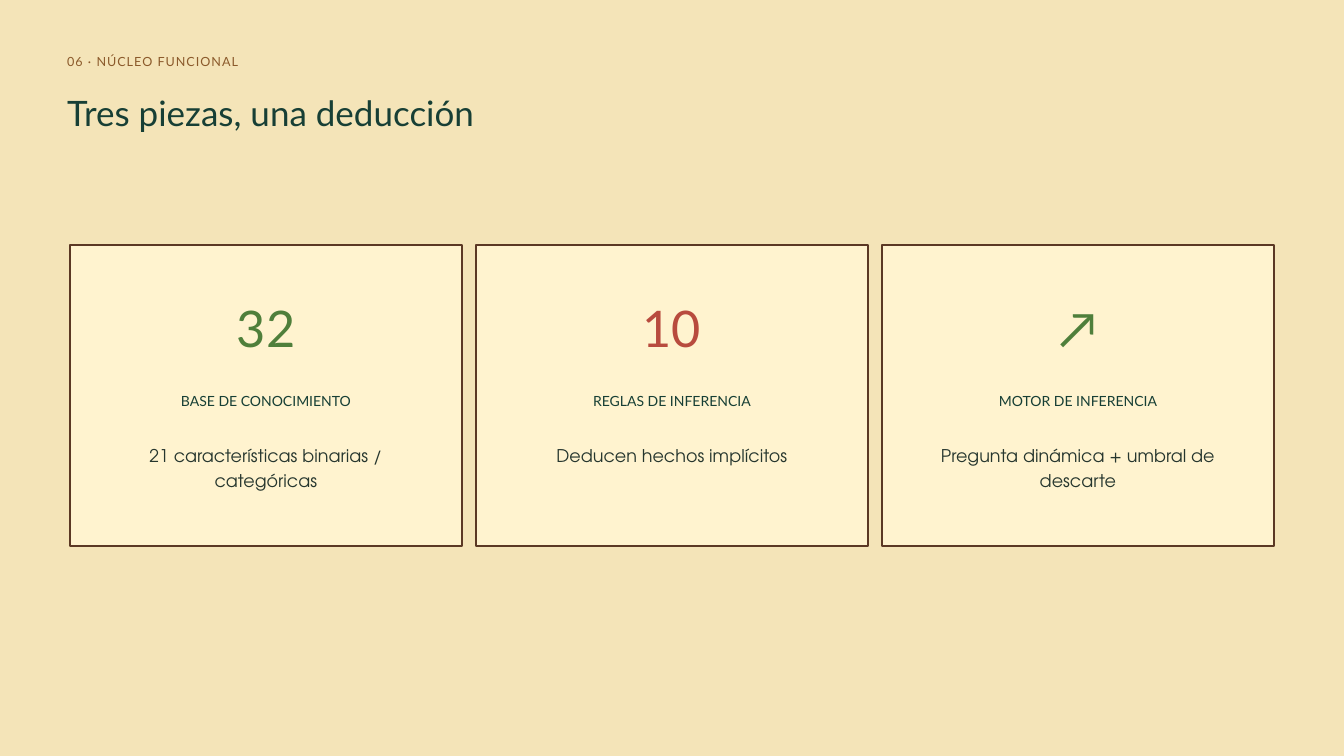
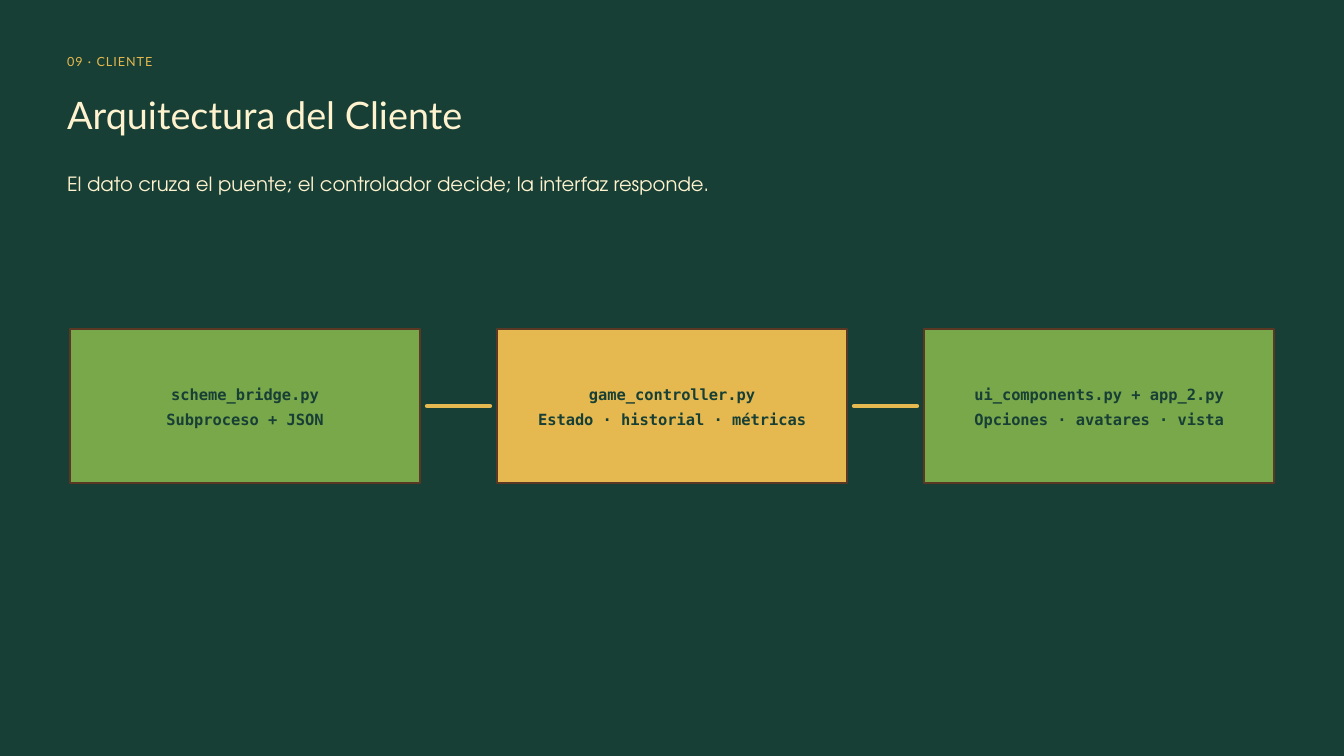
from dataclasses import dataclass

import pptx
import pptx.dml.color
import pptx.enum.shapes
import pptx.enum.text
import pptx.oxml
import pptx.util
from lxml import etree

RGBColor = pptx.dml.color.RGBColor
ALIGN = pptx.enum.text.PP_ALIGN
ANCHOR = pptx.enum.text.MSO_ANCHOR
AUTO_SIZE = pptx.enum.text.MSO_AUTO_SIZE

SAND = RGBColor(0xF4, 0xE4, 0xB8)
CREAM = RGBColor(0xFF, 0xF3, 0xCF)
PINE = RGBColor(0x17, 0x3F, 0x35)
INK = RGBColor(0x26, 0x36, 0x2E)
BARK = RGBColor(0x5B, 0x38, 0x24)
OCHRE = RGBColor(0x8B, 0x5A, 0x2B)
GOLD = RGBColor(0xE5, 0xB9, 0x4F)
LEAF = RGBColor(0x79, 0xA8, 0x4B)
MOSS = RGBColor(0x4F, 0x7F, 0x3B)
BRICK = RGBColor(0xB8, 0x4B, 0x3E)

SLIDE_WIDTH = pptx.util.Inches(20)
SLIDE_HEIGHT = pptx.util.Inches(11.25)
GRID_COLUMNS = 96
CELL = SLIDE_WIDTH / GRID_COLUMNS
MARGIN = 4.8


@dataclass
class Style:
    """Type settings of a paragraph."""
    font: str
    size: float
    leading: float
    color: RGBColor
    bold: bool = False
    tracking: float = 0


@dataclass
class Box:
    """Area measured in grid cells."""
    left: float
    top: float
    width: float
    height: float

    def emu(self):
        """Return left, top, width and height in slide units."""
        return [round(value * CELL) for value in (self.left, self.top, self.width, self.height)]

    def inset(self, side, top, height):
        """Return a narrower band inside this box."""
        return Box(self.left + side, self.top + top, self.width - 2 * side, height)

    def split(self, count, gap):
        """Divide this box into equal columns."""
        width = (self.width - gap * (count - 1)) / count
        return [Box(self.left + index * (width + gap), self.top, width, self.height)
                for index in range(count)]


def write(text_frame, lines, style, align=ALIGN.LEFT, inset=0):
    """Fill a text frame with one paragraph for each line."""
    text_frame.word_wrap = True
    text_frame.margin_left = text_frame.margin_right = pptx.util.Inches(inset)
    text_frame.margin_top = text_frame.margin_bottom = pptx.util.Inches(inset)
    text_frame.text = "\n".join(lines)
    for paragraph in text_frame.paragraphs:
        paragraph.alignment = align
        paragraph.line_spacing = pptx.util.Pt(style.leading)
        paragraph.space_before = pptx.util.Pt(0)
        paragraph.font.name = style.font
        paragraph.font.size = pptx.util.Pt(style.size)
        paragraph.font.bold = style.bold
        paragraph.font.color.rgb = style.color
        if style.tracking:
            for run in paragraph.runs:
                run._r.get_or_add_rPr().set("spc", str(round(style.tracking * 100)))


def add_text(shapes, box, text, style, align=ALIGN.LEFT):
    """Add a text box that grows with its text."""
    text_frame = shapes.add_textbox(*box.emu()).text_frame
    write(text_frame, [text], style, align)
    text_frame.auto_size = AUTO_SIZE.SHAPE_TO_FIT_TEXT


def add_panel(shapes, box, fill):
    """Add a filled rectangle with a brown outline."""
    panel = shapes.add_shape(pptx.enum.shapes.MSO_SHAPE.RECTANGLE, *box.emu())
    panel.shadow.inherit = False
    panel.fill.solid()
    panel.fill.fore_color.rgb = fill
    panel.line.color.rgb = BARK
    panel.line.width = pptx.util.Pt(3)
    return panel


def add_slide(presentation, background, section, section_color, title, title_style):
    """Add a slide with its background, section label and title."""
    slide = presentation.slides.add_slide(presentation.slide_layouts.get_by_name("Title Only"))
    slide.background.fill.solid()
    slide.background.fill.fore_color.rgb = background
    add_text(slide.shapes, Box(MARGIN, 3.65, 35, 1.2), section,
             Style("Lato", 13.5, 18.9, section_color, tracking=1.1))
    heading = slide.shapes.title
    heading.left, heading.top, heading.width, heading.height = Box(MARGIN, 6.53, 65, 3.1).emu()
    write(heading.text_frame, [title], title_style)
    heading.text_frame.vertical_anchor = ANCHOR.TOP
    heading.text_frame.auto_size = AUTO_SIZE.NONE
    return slide


def add_card(slide, box, figure, figure_color, label, description, description_height):
    """Group a panel with its figure, label and description."""
    shapes = slide.shapes.add_group_shape().shapes
    add_panel(shapes, box, CREAM)
    add_text(shapes, box.inset(1.5, 3, 4.75), figure,
             Style("Lato", 54, 75.6, figure_color), ALIGN.CENTER)
    add_text(shapes, box.inset(1.5, 10.45, 1.25), label,
             Style("Lato", 15, 18.8, PINE), ALIGN.CENTER)
    add_text(shapes, box.inset(2.75, 14.05, description_height), description,
             Style("TeX Gyre Adventor", 18.8, 26.2, INK), ALIGN.CENTER)


def add_module(slide, box, fill, lines):
    """Add a module box with its file name and role."""
    text_frame = add_panel(slide.shapes, box, fill).text_frame
    write(text_frame, lines, Style("DejaVu Sans Mono", 16.5, 26.4, PINE, bold=True),
          ALIGN.CENTER, 0.06)
    text_frame.margin_bottom = pptx.util.Inches(0.12)
    text_frame.vertical_anchor = ANCHOR.MIDDLE


def add_bridge(slide, left_box, right_box, clearance=0.5):
    """Draw a rounded line in the gap between two modules."""
    start = round((left_box.left + left_box.width + clearance) * CELL)
    end = round((right_box.left - clearance) * CELL)
    middle = round((left_box.top + left_box.height / 2) * CELL)
    connector = slide.shapes.add_connector(
        pptx.enum.shapes.MSO_CONNECTOR.STRAIGHT, start, middle, end, middle)
    connector.line.color.rgb = GOLD
    connector.line.width = pptx.util.Pt(4.5)
    connector.line._get_or_add_ln().set("cap", "rnd")
    etree.SubElement(connector._element.spPr, pptx.oxml.ns.qn("a:effectLst"))


def build_core_slide(presentation):
    """Build the slide with the three pieces of the functional core."""
    slide = add_slide(presentation, SAND, "06 · NÚCLEO FUNCIONAL", OCHRE,
                      "Tres piezas, una deducción", Style("Lato", 37.5, 45, PINE))
    cards = [
        ("32", MOSS, "BASE DE CONOCIMIENTO", "21 características binarias / categóricas", 3.45),
        ("10", BRICK, "REGLAS DE INFERENCIA", "Deducen hechos implícitos", 1.7),
        ("↗", MOSS, "MOTOR DE INFERENCIA", "Pregunta dinámica + umbral de descarte", 3.45),
    ]
    for box, card in zip(Box(5, 17.5, 86, 21.5).split(len(cards), 1), cards):
        add_card(slide, box, *card)


def build_client_slide(presentation):
    """Build the slide with the client modules in a row."""
    slide = add_slide(presentation, PINE, "09 · CLIENTE", GOLD,
                      "Arquitectura del Cliente", Style("Lato", 40.5, 49.4, CREAM))
    add_text(slide.shapes, Box(MARGIN, 12.1, 60, 1.8),
             "El dato cruza el puente; el controlador decide; la interfaz responde.",
             Style("TeX Gyre Adventor", 21, 28.4, CREAM))
    modules = [
        (LEAF, ["scheme_bridge.py", "Subproceso + JSON"]),
        (GOLD, ["game_controller.py", "Estado · historial · métricas"]),
        (LEAF, ["ui_components.py + app_2.py", "Opciones · avatares · vista"]),
    ]
    boxes = Box(5, 23.5, 86, 11).split(len(modules), 5.5)
    for box, module in zip(boxes, modules):
        add_module(slide, box, *module)
    for left_box, right_box in zip(boxes, boxes[1:]):
        add_bridge(slide, left_box, right_box)


def main():
    """Build and save the presentation."""
    presentation = pptx.Presentation()
    presentation.slide_width = SLIDE_WIDTH
    presentation.slide_height = SLIDE_HEIGHT
    build_core_slide(presentation)
    build_client_slide(presentation)
    presentation.save("out.pptx")


if __name__ == "__main__":
    main()
